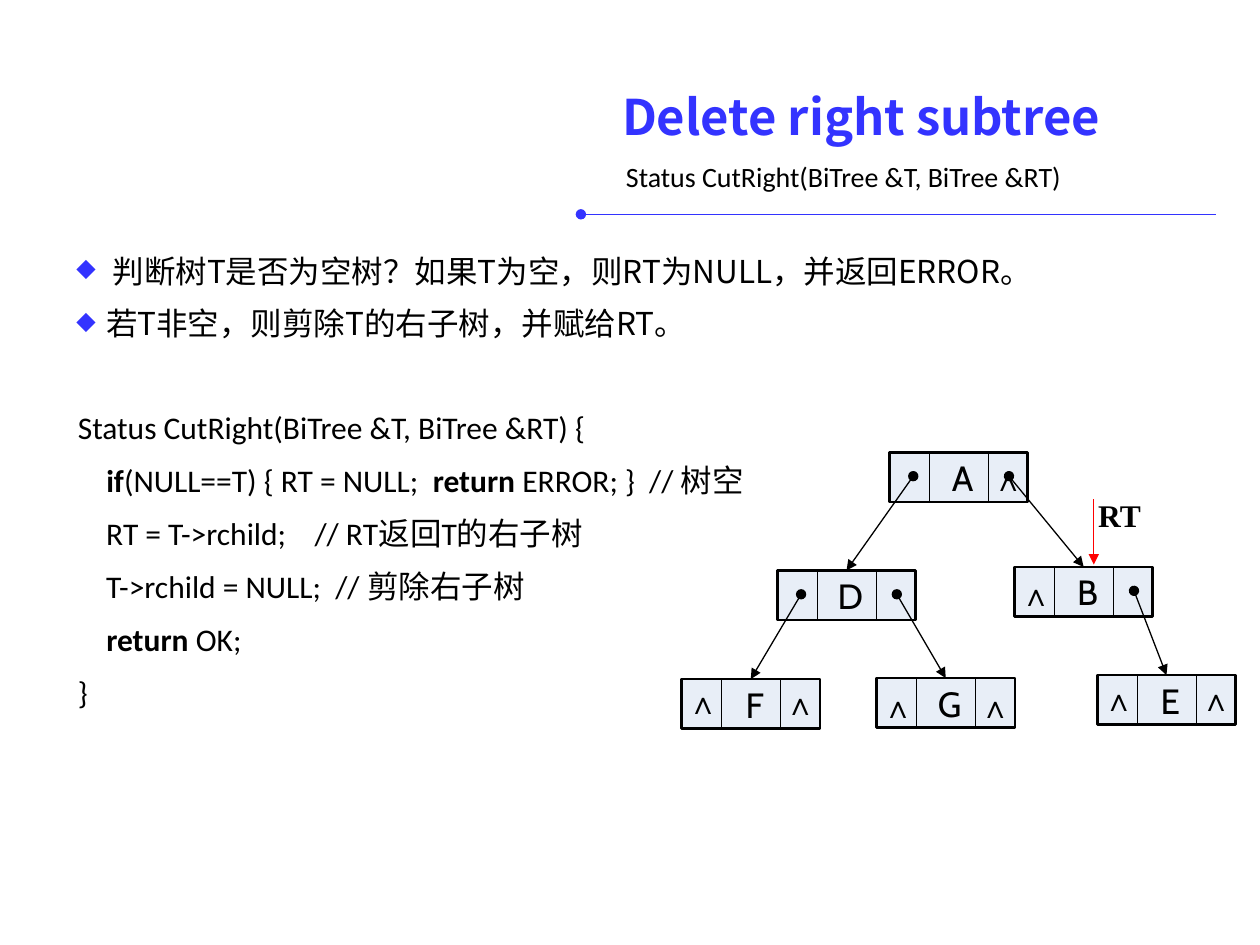
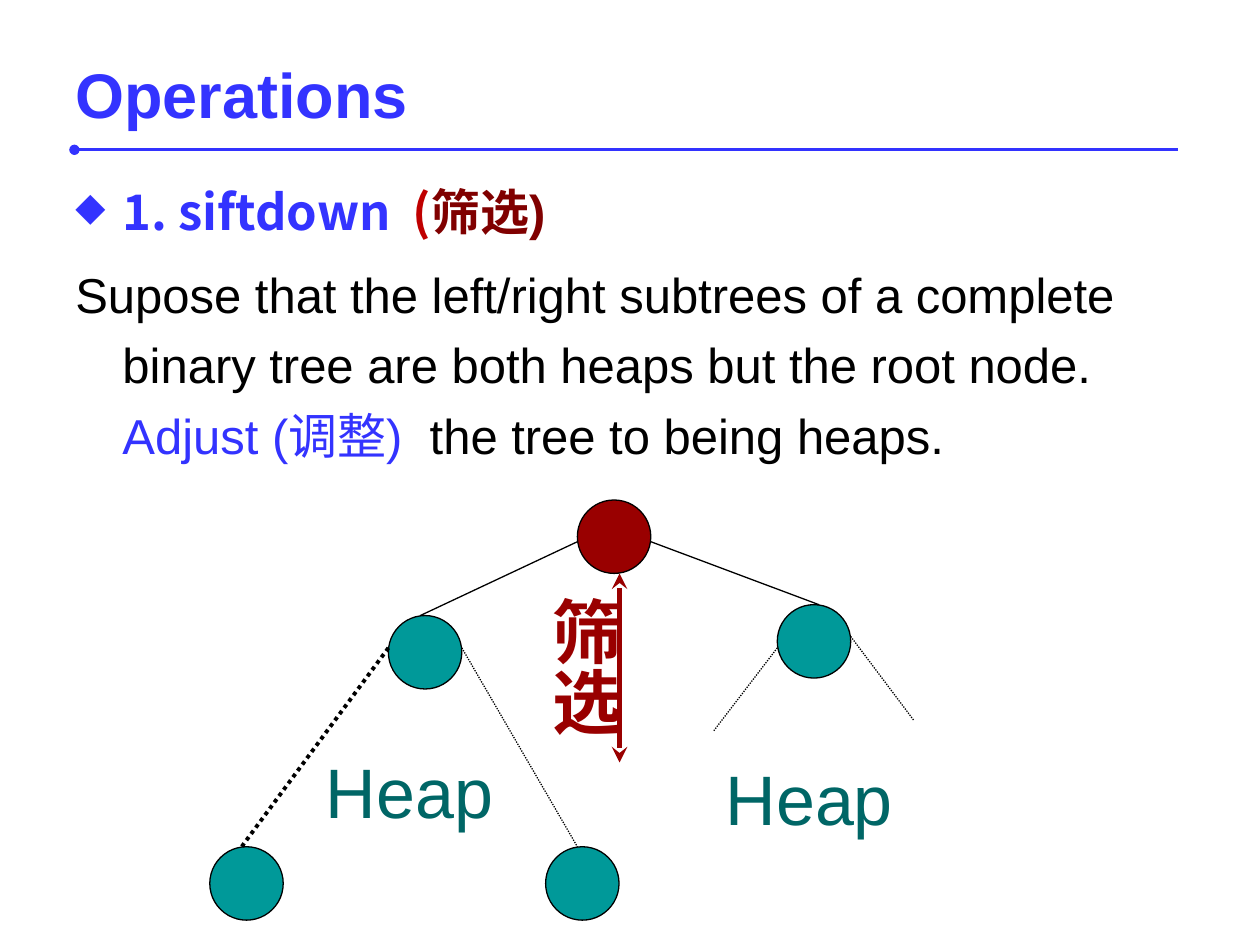
from lxml import etree
from pptx import Presentation
from pptx.dml.color import RGBColor
from pptx.enum import dml, shapes, text
from pptx.oxml import ns
from pptx.util import Cm, Pt

BLUE, BLACK, RED = "3333FF", "000000", "FF0000"
NODE_FILL, TEAL, DARK_TEAL, CRIMSON = "E8EEF7", "009999", "006666", "990000"
CJK = "Noto Sans CJK SC"
NODE_W, NODE_H = 2.79, 1.0
DIVIDERS = (0.81, 2.0)
NIL_X = {"left": -0.13, "right": 1.83}
POINTER_X = {"left": 0.48, "right": 2.41}
CIRCLE = 1.48


def rgb(hex_colour):
    return RGBColor.from_string(hex_colour)


def sub(parent, tag, **attrs):
    return etree.SubElement(parent, ns.qn(tag), attrs)


def add_run(p, words, size=18, font="Arial", colour=BLACK, bold=False):
    r = p.add_run()
    r.text = words
    values = {"size": Pt(size), "name": font, "bold": bold}
    for name, value in values.items():
        setattr(r.font, name, value)
    r.font.color.rgb = rgb(colour)
    sub(r.font._element, "a:ea", typeface=CJK)


def add_bullet(p):
    pPr = p._p.get_or_add_pPr()
    sub(sub(pPr, "a:buClr"), "a:srgbClr", val=BLUE)
    sub(pPr, "a:buSzPct", val="80000")
    sub(pPr, "a:buChar", char="◆")


def set_indent(p, hanging):
    pPr = p._p.get_or_add_pPr()
    pPr.set("marL", str(Cm(hanging)))
    pPr.set("indent", str(-Cm(hanging)))


def add_text(s, box, paragraphs, insets=(0.25, 0.13, 0.25, 0.13), wrap=True,
             anchor=text.MSO_ANCHOR.TOP, vertical=False, **base):
    """Each paragraph is (runs, format); each run is (words, overrides of base)."""
    tf = s.shapes.add_textbox(*map(Cm, box)).text_frame
    sides = ("margin_left", "margin_top", "margin_right", "margin_bottom")
    frame = dict(zip(sides, map(Cm, insets)), word_wrap=wrap, vertical_anchor=anchor)
    for name, value in frame.items():
        setattr(tf, name, value)
    if vertical:
        tf._txBody.bodyPr.set("vert", "eaVert")
    for i, (runs, layout) in enumerate(paragraphs):
        p = tf.paragraphs[0] if i == 0 else tf.add_paragraph()
        layout = dict(layout)
        if "hanging" in layout:
            set_indent(p, layout.pop("hanging"))
        if layout.pop("bullet", False):
            add_bullet(p)
        for name, value in layout.items():
            setattr(p, name, value)
        for words, changes in runs:
            add_run(p, words, **{**base, **changes})


def add_label(s, box, words, align=text.PP_ALIGN.LEFT, **options):
    add_text(s, box, [([(words, {})], {"alignment": align})], **options)


def add_line(s, start, end, colour=BLACK, width=0.75, head=None, tail=None, dash=None):
    c = s.shapes.add_connector(shapes.MSO_CONNECTOR.STRAIGHT, *map(Cm, (*start, *end)))
    c.line.color.rgb = rgb(colour)
    c.line.width = Pt(width)
    if dash:
        c.line.dash_style = dash
    ln = c._element.spPr.find(ns.qn("a:ln"))
    for tag, kind in (("a:headEnd", head), ("a:tailEnd", tail)):
        if kind:
            sub(ln, tag, type=kind)
    sub(c._element.spPr, "a:effectLst")
    return c


def add_filled(s, kind, box, fill, width):
    shape = s.shapes.add_shape(kind, *map(Cm, box))
    shape.shadow.inherit = False
    shape.fill.solid()
    shape.fill.fore_color.rgb = rgb(fill)
    shape.line.color.rgb = rgb(BLACK)
    shape.line.width = Pt(width)
    return shape


def add_heading(s, title, box, size, font, rule, rule_width):
    """Blue title over a blue rule given as (x1, x2, y)."""
    add_label(s, box, title, size=size, font=font, colour=BLUE, bold=True,
              anchor=text.MSO_ANCHOR.MIDDLE)
    x1, x2, y = rule
    add_line(s, (x1, y), (x2, y), BLUE, rule_width, head="oval")


def add_node(s, letter, x, y):
    """Binary tree record: left pointer, data, right pointer."""
    node = add_filled(s, shapes.MSO_SHAPE.RECTANGLE, (x, y, NODE_W, NODE_H), NODE_FILL, 1.5)
    add_label(s, (x + 0.88, y - 0.05, 1.19, 1.12), letter,
              text.PP_ALIGN.CENTER, size=20, font="Cabin")
    for dx in DIVIDERS:
        add_line(s, (x + dx, y), (x + dx, y + NODE_H))
    return node


def add_pointer(s, parent, side, child):
    x, y = parent.left.cm + POINTER_X[side], parent.top.cm + 0.48
    end = (child.left.cm + NODE_W / 2, child.top.cm)
    c = add_line(s, (x, y), end, head="oval", tail="triangle")
    c.end_connect(child, 0)


def add_nil(s, node, side, dy):
    box = (node.left.cm + NIL_X[side], node.top.cm + dy, 1.14, 1.02)
    add_label(s, box, "∧", bold=True, wrap=False)


def build_cut_right(s):
    add_heading(s, "Delete right subtree", (12.29, 1.52, 11.48, 1.63), 28, CJK,
                (11.71, 24.51, 4.32), 0.75)
    add_label(s, (12.37, 3.15, 9.73, 0.81), "Status CutRight(BiTree &T, BiTree &RT)",
              size=16, font="Calibri", anchor=text.MSO_ANCHOR.MIDDLE)

    step = {"bullet": True, "alignment": text.PP_ALIGN.JUSTIFY,
            "line_spacing": 1.2, "space_after": Pt(2)}
    add_text(s, (1.04, 4.8, 22.5, 2.84), [
        ([("判断树T是否为空树？如果T为空，则RT为NULL，并返回ERROR。", {})],
         {**step, "hanging": 0.73}),
        ([("若T非空，则剪除T的右子树，并赋给RT。", {})],
         {**step, "hanging": 0.6, "space_before": Pt(2)}),
    ], insets=(0.5, 0.13, 0.1, 0.13), font=CJK)

    keyword = {"bold": True}
    code = [
        [("Status CutRight(BiTree &T, BiTree &RT) {", {})],
        [("    ", {}), ("if", keyword), ("(NULL==T) { RT = NULL;  ", {}),
         ("return ", keyword), ("ERROR; }  // 树空", {})],
        [("    RT = T->rchild;    // RT返回T的右子树", {})],
        [("    T->rchild = NULL;  // 剪除右子树", {})],
        [("    ", {}), ("return ", keyword), ("OK;", {})],
        [("}", {})],
    ]
    add_text(s, (1.07, 7.8, 14.22, 5.33), [(runs, {"line_spacing": 1.4}) for runs in code],
             insets=(0.5, 0.13, 0.1, 0.13), font="Calibri")

    places = {"A": (17.93, 9.12), "D": (15.67, 11.5), "F": (13.74, 13.69),
              "G": (17.67, 13.67), "B": (20.45, 11.43), "E": (22.12, 13.61)}
    nodes = {letter: add_node(s, letter, *place) for letter, place in places.items()}
    for parent, side, child in (("A", "left", "D"), ("A", "right", "B"), ("D", "left", "F"),
                                ("D", "right", "G"), ("B", "right", "E")):
        add_pointer(s, nodes[parent], side, nodes[child])
    for letter, side, dy in (("A", "right", 0.03), ("B", "left", 0.03),
                             ("F", "left", -0.05), ("F", "right", -0.03),
                             ("G", "left", 0.05), ("G", "right", 0.05),
                             ("E", "left", -0.03), ("E", "right", -0.03)):
        add_nil(s, nodes[letter], side, dy)

    add_label(s, (21.89, 9.86, 1.73, 1.02), "RT", font="Times New Roman", bold=True)
    add_line(s, (22.05, 10.06), (22.05, 11.38), RED, tail="triangle")


def build_siftdown(s):
    add_heading(s, "Operations", (1.27, 0.76, 22.86, 2.24), 36, "Arial",
                (1.5, 23.75, 3.02), 1.5)
    add_text(s, (1.27, 3.53, 22.86, 6.63), [
        ([("1. siftdown  ", {"font": CJK, "colour": BLUE, "bold": True}),
          ("(", {"font": CJK, "colour": "C00000", "bold": True}),
          ("筛选)", {"colour": "800000", "bold": True})],
         {"bullet": True, "hanging": 0.95}),
        ([("Supose that the left/right subtrees of a complete binary tree"
           " are both heaps but the root node. ", {}),
          ("Adjust (调整)  ", {"colour": BLUE}),
          ("the tree to being heaps.", {})],
         {"hanging": 0.95, "line_spacing": 1.2, "space_before": Pt(7)}),
    ], size=28)

    for x, y, fill in ((11.64, 10.08, CRIMSON), (7.83, 12.41, TEAL), (15.67, 12.19, TEAL),
                       (4.23, 17.07, TEAL), (11.0, 17.07, TEAL)):
        add_filled(s, shapes.MSO_SHAPE.OVAL, (x, y, CIRCLE, CIRCLE), fill, 0.75)

    dots = dml.MSO_LINE.ROUND_DOT
    for start, end, width, dash in (
            ((11.64, 10.92), (8.47, 12.41), 0.75, None),
            ((13.12, 10.92), (16.51, 12.19), 0.75, None),
            ((7.83, 13.06), (4.87, 17.07), 2.25, dots),
            ((9.31, 13.06), (11.64, 17.07), 0.75, dots),
            ((15.67, 13.06), (14.39, 14.73), 0.75, dots),
            ((17.15, 12.83), (18.42, 14.52), 0.75, dots)):
        add_line(s, start, end, width=width, dash=dash)

    for x, y in ((6.32, 14.96), (14.38, 15.11)):
        add_label(s, (x, y, 4.17, 1.96), "Heap", size=40, colour=DARK_TEAL)
    add_line(s, (12.49, 11.56), (12.49, 15.37), CRIMSON, 3, head="stealth", tail="stealth")
    add_label(s, (10.59, 11.79, 2.18, 4.27), "筛选", size=40, colour=CRIMSON, bold=True,
              insets=(0.13, 0.25, 0.13, 0.25), vertical=True)


def main():
    prs = Presentation()
    prs.slide_width, prs.slide_height = Cm(25.4), Cm(19.05)
    for build in (build_cut_right, build_siftdown):
        build(prs.slides.add_slide(prs.slide_layouts[6]))
    prs.save("out.pptx")


if __name__ == "__main__":
    main()
